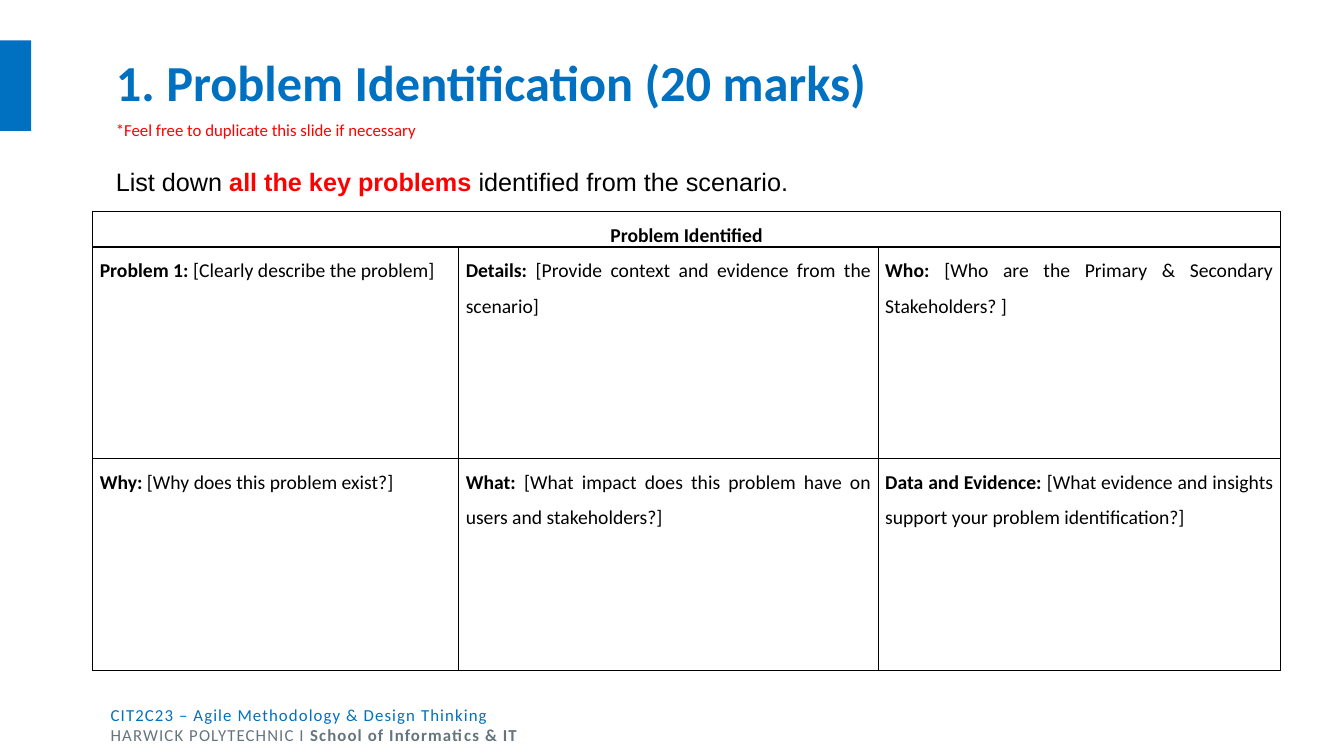
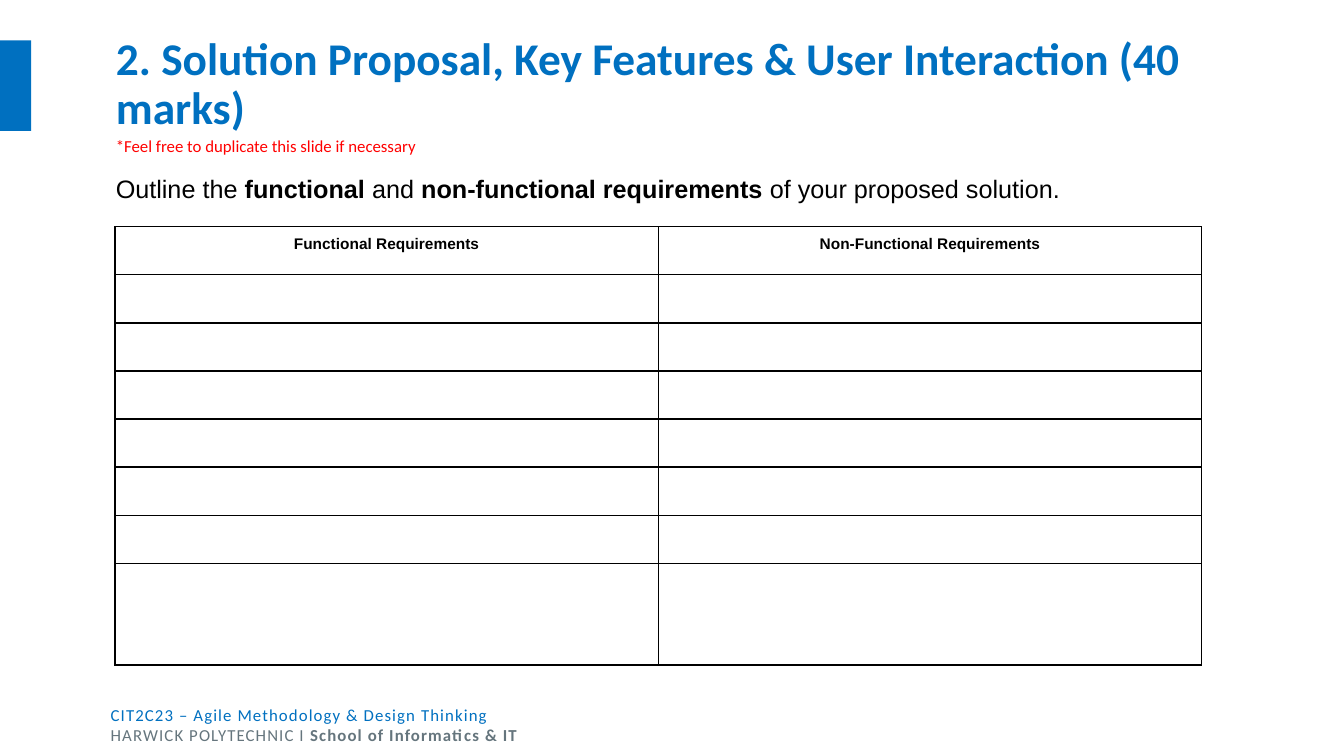
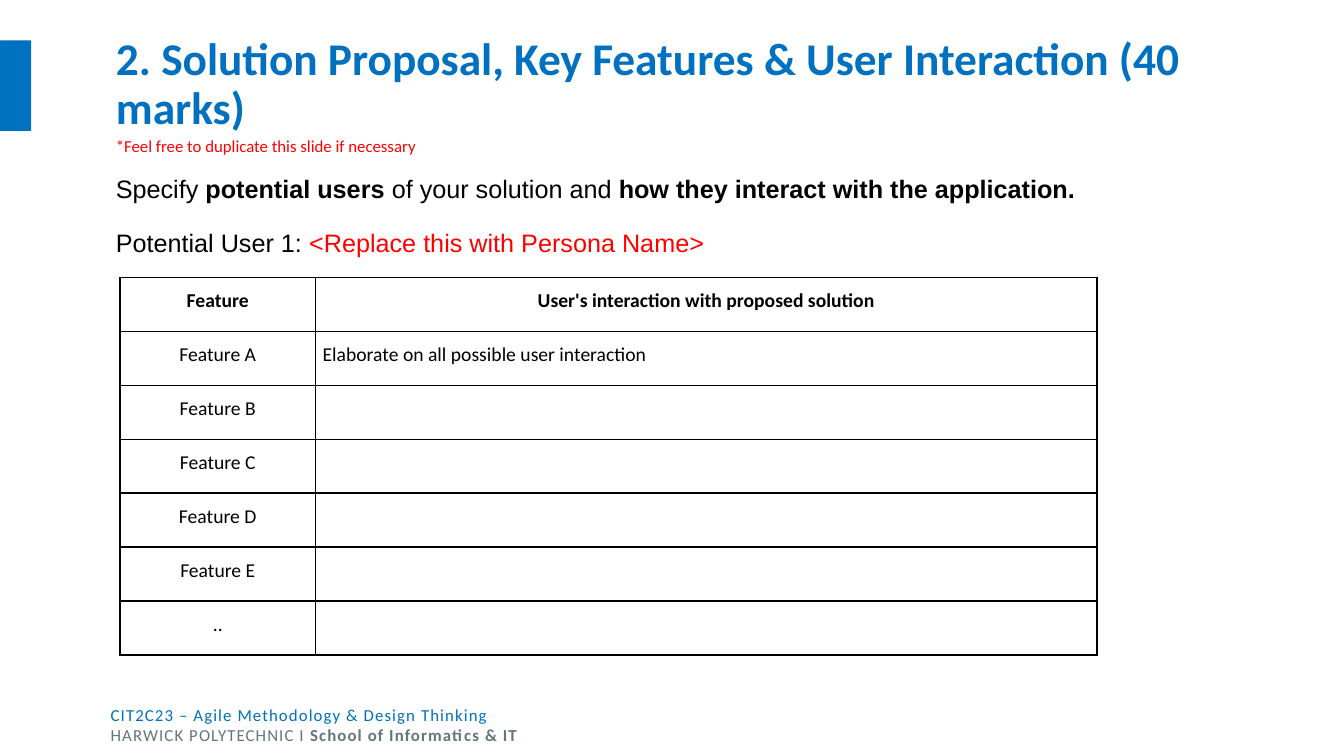
"""Build three assignment template slides with a shared title, band and footer."""
from dataclasses import dataclass

from lxml.etree import SubElement
from pptx import Presentation
from pptx.dml.color import RGBColor
from pptx.enum.shapes import MSO_SHAPE
from pptx.enum.text import MSO_ANCHOR, MSO_AUTO_SIZE, PP_ALIGN
from pptx.oxml.ns import qn
from pptx.util import Inches, Pt


@dataclass(frozen=True)
class Theme:
    blue: str = "0070C0"
    grey: str = "65757D"
    red: str = "FF0000"
    black: str = "000000"
    heading: str = "Calibri"
    body: str = "Arial"
    title: float = 36
    long_title: float = 32.4
    lead: float = 18
    cell: float = 14
    small_cell: float = 11
    note: float = 12
    tracking: str = "80"


T = Theme()
LEFT, CENTER, JUSTIFY = PP_ALIGN.LEFT, PP_ALIGN.CENTER, PP_ALIGN.JUSTIFY


@dataclass(frozen=True)
class Run:
    text: str
    bold: bool = False
    color: str = T.black


@dataclass(frozen=True)
class Para:
    runs: tuple[Run, ...]
    align: PP_ALIGN = LEFT
    spacing: float = 1.0


@dataclass(frozen=True)
class Box:
    left: float
    top: float
    width: float
    height: float

    def emu(self) -> tuple:
        return tuple(Inches(v) for v in (self.left, self.top, self.width, self.height))


@dataclass(frozen=True)
class Lead:
    box: Box
    para: Para


@dataclass(frozen=True)
class Grid:
    left: float
    top: float
    cols: tuple[float, ...]
    rows: tuple[float, ...]
    cells: tuple[tuple[Para, ...], ...]
    font: str = T.heading
    size: float = T.cell
    merge_header: bool = False


@dataclass(frozen=True)
class Page:
    title: str
    title_size: float
    note_top: float
    leads: tuple[Lead, ...]
    grid: Grid


def lead(box: Box, *runs: Run, align: PP_ALIGN = JUSTIFY) -> Lead:
    return Lead(box, Para(runs, align, 1.5))


def cell(text: str, align: PP_ALIGN = CENTER, bold: bool = False) -> Para:
    return Para((Run(text, bold),), align, 1.5)


def prompt(label: str, hint: str) -> Para:
    return Para((Run(f"{label}: ", True), Run(f"[{hint}]")), JUSTIFY, 1.5)


def write(tf, paras: tuple[Para, ...], font: str, size: float) -> None:
    for i, para in enumerate(paras):
        p = tf.paragraphs[0] if i == 0 else tf.add_paragraph()
        p.alignment, p.line_spacing = para.align, para.spacing
        for run in para.runs:
            r = p.add_run()
            r.text = run.text
            r.font.name, r.font.size, r.font.bold = font, Pt(size), run.bold
            r.font.color.rgb = RGBColor.from_string(run.color)


def add_text(s, box: Box, paras: tuple[Para, ...], font: str, size: float, wrap: bool = True):
    sp = s.shapes.add_textbox(*box.emu())
    tf = sp.text_frame
    tf.word_wrap = wrap
    tf.auto_size = MSO_AUTO_SIZE.SHAPE_TO_FIT_TEXT
    write(tf, paras, font, size)
    return sp


def style_cell(c) -> None:
    c.margin_left = c.margin_right = Inches(0.07)
    c.margin_top = c.margin_bottom = 0
    tc_pr = c._tc.get_or_add_tcPr()
    for side in ("lnL", "lnR", "lnT", "lnB"):
        ln = SubElement(tc_pr, qn(f"a:{side}"), w=str(Pt(1)))
        fill = SubElement(ln, qn("a:solidFill"))
        SubElement(fill, qn("a:srgbClr"), val=T.black)
    c.fill.background()


def add_grid(s, grid: Grid) -> None:
    box = Box(grid.left, grid.top, sum(grid.cols), sum(grid.rows))
    table = s.shapes.add_table(len(grid.rows), len(grid.cols), *box.emu()).table
    table.first_row = table.horz_banding = False
    for col, width in zip(table.columns, grid.cols):
        col.width = Inches(width)
    for row, height in zip(table.rows, grid.rows):
        row.height = Inches(height)
        for c in row.cells:
            style_cell(c)
    if grid.merge_header:
        table.cell(0, 0).merge(table.cell(0, len(grid.cols) - 1))
    for i, paras in enumerate(grid.cells):
        for j, para in enumerate(paras):
            write(table.cell(i, j).text_frame, (para,), grid.font, grid.size)


def brand_layout(layout, s) -> None:
    """Move the band and footer, drawn on a slide, to the layout it uses."""
    for ph in list(layout.placeholders):
        if ph.placeholder_format.idx == 0:
            ph.left, ph.top, ph.width, ph.height = Box(1.05, 0.4, 11.3, 0.9).emu()
        else:
            layout.shapes.element.remove(ph.element)
    footer = add_text(s, Box(1, 6.94, 11.63, 0.5), (
        Para((Run("CIT2C23 – Agile Methodology & Design Thinking", color=T.blue),)),
        Para((Run("HARWICK POLYTECHNIC I ", color=T.grey),
              Run("School of Informatics & IT", True, T.grey))),
    ), T.heading, T.note)
    for r_pr in footer.element.iter(qn("a:rPr")):
        r_pr.set("spc", T.tracking)
    band = s.shapes.add_shape(MSO_SHAPE.RECTANGLE, *Box(0, 0.4, 0.31, 0.9).emu())
    band.shadow.inherit = False
    band.fill.solid()
    band.fill.fore_color.rgb = RGBColor.from_string(T.blue)
    band.line.fill.background()
    for sp in (footer, band):
        layout.shapes.element.append(sp.element)


def fill_page(s, page: Page) -> None:
    tf = s.shapes.title.text_frame
    tf.vertical_anchor = MSO_ANCHOR.MIDDLE
    tf.auto_size = MSO_AUTO_SIZE.NONE
    write(tf, (Para((Run(page.title, True, T.blue),), spacing=0.9),), T.heading, page.title_size)
    note = Run("*Feel free to duplicate this slide if necessary", color=T.red)
    add_text(s, Box(1.05, page.note_top, 3.21, 0.3), (Para((note,)),), T.heading, T.note, wrap=False)
    for item in page.leads:
        add_text(s, item.box, (item.para,), T.body, T.lead)
    add_grid(s, page.grid)


SOLUTION_TITLE = "2. Solution Proposal, Key Features & User Interaction (40 marks)"

PROBLEM = Page(
    "1. Problem Identification (20 marks)", T.title, 1.14,
    (lead(Box(1.05, 1.45, 7.87, 0.5), Run("List down "),
          Run("all the key problems ", True, T.red), Run("identified from the scenario.")),),
    Grid(0.92, 2.1, (3.63, 4.16, 3.99), (0.35, 2.1, 2.1), (
        (cell("Problem Identified", bold=True),),
        (prompt("Problem 1", "Clearly describe the problem"),
         prompt("Details", "Provide context and evidence from the scenario"),
         prompt("Who", "Who are the Primary & Secondary Stakeholders? ")),
        (prompt("Why", "Why does this problem exist?"),
         prompt("What", "What impact does this problem have on users and stakeholders?"),
         prompt("Data and Evidence",
                "What evidence and insights support your problem identification?")),
    ), merge_header=True),
)

REQUIREMENTS = Page(
    SOLUTION_TITLE, T.long_title, 1.3,
    (lead(Box(1.05, 1.52, 10, 0.5), Run("Outline the "), Run("functional", True), Run(" and "),
          Run("non-functional requirements ", True), Run("of your proposed solution.")),),
    Grid(1.14, 2.25, (5.39,) * 2, (3.34 / 7,) * 7 + (1.01,), (
        tuple(cell(f"{kind} Requirements", bold=True) for kind in ("Functional", "Non-Functional")),
    ), T.body, T.small_cell),
)

INTERACTION = Page(
    SOLUTION_TITLE, T.long_title, 1.3,
    (lead(Box(1.05, 1.52, 12.05, 0.5), Run("Specify "), Run("potential users ", True),
          Run("of your solution and "), Run("how they interact with the application.", True)),
     lead(Box(1.05, 2.06, 6.67, 0.5), Run("Potential User 1: "),
          Run("<Replace this with Persona Name>", color=T.red), align=LEFT)),
    Grid(1.19, 2.75, (1.94, 7.75), (3.75 / 7,) * 7, (
        (cell("Feature", bold=True), cell("User's interaction with proposed solution", bold=True)),
        (cell("Feature A"), cell("Elaborate on all possible user interaction", JUSTIFY)),
        *((cell(f"Feature {letter}"),) for letter in "BCDE"),
        (cell(".."),),
    )),
)


def main() -> None:
    prs = Presentation()
    prs.slide_width, prs.slide_height = Inches(13.33), Inches(7.5)
    layout = prs.slide_layouts.get_by_name("Title Only")
    for i, page in enumerate((PROBLEM, REQUIREMENTS, INTERACTION)):
        s = prs.slides.add_slide(layout)
        if i == 0:
            brand_layout(layout, s)
        fill_page(s, page)
    prs.save("out.pptx")


if __name__ == "__main__":
    main()
